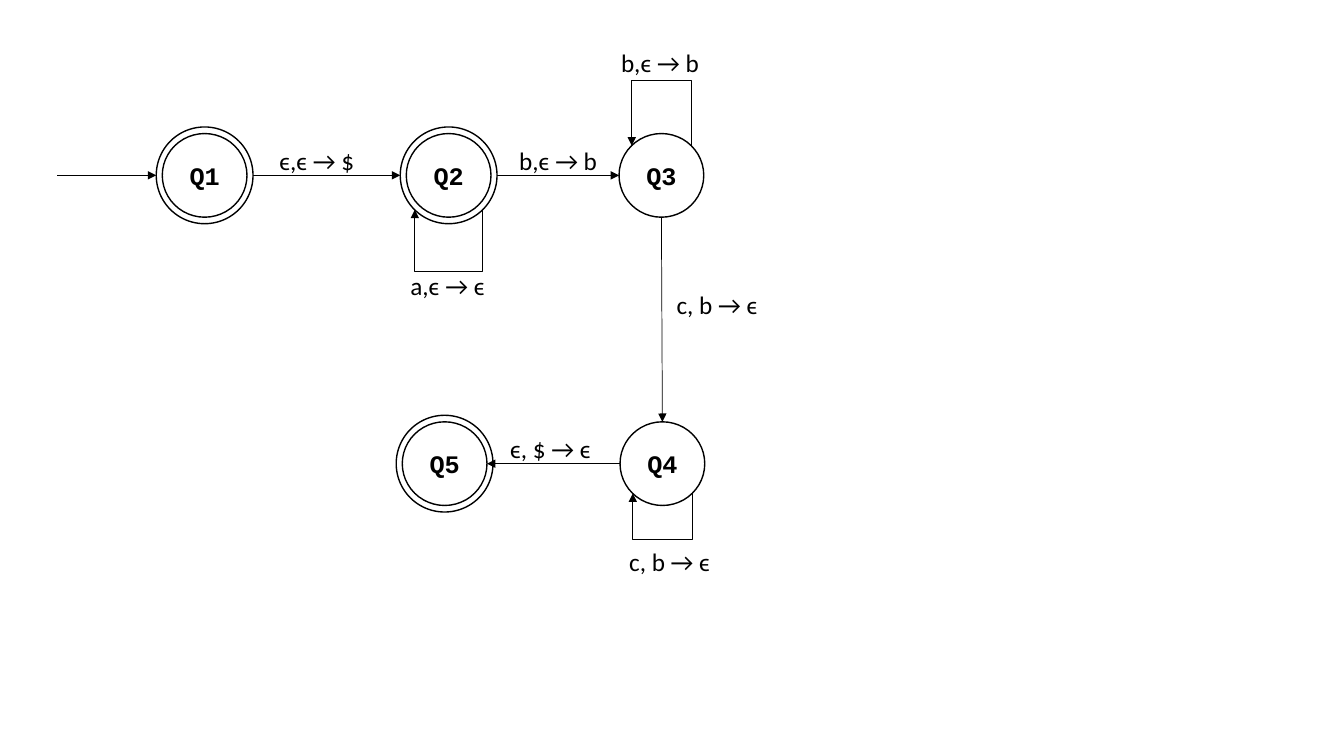
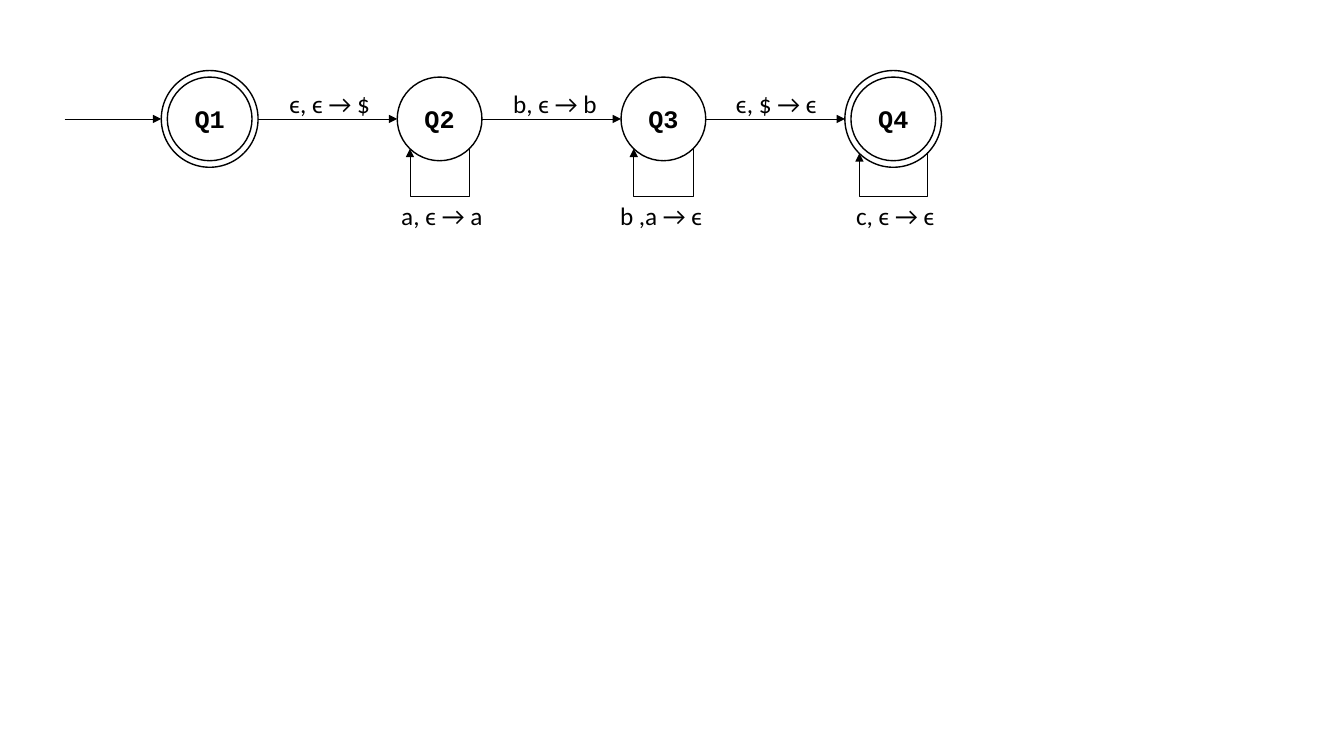
from dataclasses import dataclass

from lxml import etree
from pptx import Presentation
from pptx.dml.color import RGBColor
from pptx.enum.shapes import MSO_CONNECTOR, MSO_SHAPE
from pptx.enum.text import MSO_ANCHOR, MSO_AUTO_SIZE, PP_ALIGN
from pptx.oxml.ns import qn
from pptx.util import Inches, Pt

ELLIPSE = MSO_SHAPE.OVAL
STRAIGHT, ELBOW = MSO_CONNECTOR.STRAIGHT, MSO_CONNECTOR.ELBOW
MIDDLE, CENTER = MSO_ANCHOR.MIDDLE, PP_ALIGN.CENTER
GROW = MSO_AUTO_SIZE.SHAPE_TO_FIT_TEXT
BLANK_LAYOUT = 6


@dataclass(frozen=True)
class Theme:
    ink: RGBColor = RGBColor(0, 0, 0)
    paper: RGBColor = RGBColor(255, 255, 255)
    state_font: str = "Courier New"
    label_font: str = "Calibri"
    text_size: Pt = Pt(18)
    state_line: Pt = Pt(1)
    arrow_line: Pt = Pt(0.5)


THEME = Theme()
STATE_SIZE = (0.84, 0.83)
RING_SIZE = (0.96, 0.96)
LABEL_HEIGHT = 0.3
LOOP_STEP = 0.01

# Connection sites of an ellipse: index, then place as a share of width and height.
SITES = {
    "top": (0, 0.5, 0),
    "top left": (1, 0.15, 0.15),
    "left": (2, 0, 0.5),
    "bottom left": (3, 0.15, 0.85),
    "bottom": (4, 0.5, 1),
    "bottom right": (5, 0.85, 0.85),
    "right": (6, 1, 0.5),
    "top right": (7, 0.85, 0.15),
}


@dataclass
class State:
    """A drawn state; outline is the outermost ellipse, core the named one."""
    outline: object
    core: object


def site_point(ellipse, site):
    _, across, down = SITES[site]
    return (int(ellipse.left + ellipse.width * across),
            int(ellipse.top + ellipse.height * down))


def add_ellipse(slide, center, size):
    (x, y), (width, height) = center, size
    ellipse = slide.shapes.add_shape(
        ELLIPSE, Inches(x - width / 2), Inches(y - height / 2), Inches(width), Inches(height))
    ellipse.shadow.inherit = False
    ellipse.fill.solid()
    ellipse.fill.fore_color.rgb = THEME.paper
    ellipse.line.color.rgb = THEME.ink
    ellipse.line.width = THEME.state_line
    return ellipse


def write(shape, text, font_name, bold=False):
    frame = shape.text_frame
    frame.word_wrap = False
    frame.margin_left = frame.margin_right = frame.margin_top = frame.margin_bottom = 0
    para = frame.paragraphs[0]
    para.text = text
    para.font.name = font_name
    para.font.size = THEME.text_size
    para.font.bold = bold
    para.font.color.rgb = THEME.ink
    return frame, para


def add_state(slide, name, center, accepting=False):
    """Draw a state, with a second ring around it if it accepts."""
    ring = add_ellipse(slide, center, RING_SIZE) if accepting else None
    core = add_ellipse(slide, center, STATE_SIZE)
    frame, para = write(core, name, THEME.state_font, bold=True)
    frame.vertical_anchor = MIDDLE
    para.alignment = CENTER
    return State(ring or core, core)


def add_label(slide, text, left, top, width):
    box = slide.shapes.add_textbox(
        Inches(left), Inches(top), Inches(width), Inches(LABEL_HEIGHT))
    frame, _ = write(box, text, THEME.label_font)
    frame.auto_size = GROW


def style_arrow(connector):
    connector.line.color.rgb = THEME.ink
    connector.line.width = THEME.arrow_line
    line = connector.line._get_or_add_ln()
    etree.SubElement(line, qn("a:tailEnd"), type="triangle")
    etree.SubElement(connector._element.spPr, qn("a:effectLst"))


def glue(connector, end_tag, ellipse, site):
    """Join a connector end to one of the eight sites of an ellipse."""
    holder = connector._element.find(".//" + qn("p:cNvCxnSpPr"))
    etree.SubElement(holder, qn(end_tag), id=str(ellipse.shape_id), idx=str(SITES[site][0]))


def add_arrow(slide, source, source_site, target, target_site):
    connector = slide.shapes.add_connector(
        STRAIGHT, *site_point(source, source_site), *site_point(target, target_site))
    style_arrow(connector)
    glue(connector, "a:stCxn", source, source_site)
    glue(connector, "a:endCxn", target, target_site)


def add_start_arrow(slide, left, state):
    end_x, end_y = site_point(state.outline, "left")
    connector = slide.shapes.add_connector(STRAIGHT, Inches(left), end_y, end_x, end_y)
    style_arrow(connector)
    glue(connector, "a:endCxn", state.outline, "left")


def add_loop(slide, state, side, far_edge):
    """Lead an arrow from a state back to itself, out to far_edge on its top or bottom side."""
    ellipse = state.outline
    start, end = side + " right", side + " left"
    (right, y), (left, _) = site_point(ellipse, start), site_point(ellipse, end)
    # The connector is laid out upright, then turned by a quarter about its middle.
    middle, span, step = (left + right) // 2, right - left, Inches(LOOP_STEP)
    near, far = middle - step // 2, middle - step // 2 + step
    upper, lower = y - span // 2, y + span // 2
    begin_y, end_y, turn = (upper, lower, 90) if side == "bottom" else (lower, upper, 270)
    connector = slide.shapes.add_connector(ELBOW, near, begin_y, far, end_y)
    style_arrow(connector)
    properties = connector._element.spPr
    properties.find(qn("a:xfrm")).set("rot", str(turn * 60000))
    depth = abs(Inches(far_edge) - y)
    guides = properties.find(qn("a:prstGeom")).find(qn("a:avLst"))
    etree.SubElement(guides, qn("a:gd"), name="adj1", fmla=f"val {round(depth / step * 100000)}")
    glue(connector, "a:stCxn", ellipse, start)
    glue(connector, "a:endCxn", ellipse, end)


def add_blank_slide(deck):
    return deck.slides.add_slide(deck.slide_layouts[BLANK_LAYOUT])


def build_turning_automaton(deck):
    slide = add_blank_slide(deck)
    q1 = add_state(slide, "Q1", (2.03, 1.74), accepting=True)
    q2 = add_state(slide, "Q2", (4.45, 1.74), accepting=True)
    q3 = add_state(slide, "Q3", (6.56, 1.74))
    q4 = add_state(slide, "Q4", (6.57, 4.6))
    q5 = add_state(slide, "Q5", (4.41, 4.6), accepting=True)

    add_start_arrow(slide, 0.57, q1)
    add_arrow(slide, q1.outline, "right", q2.outline, "left")
    add_arrow(slide, q2.outline, "right", q3.outline, "left")
    add_arrow(slide, q3.outline, "bottom", q4.outline, "top")
    add_arrow(slide, q4.outline, "left", q5.core, "right")
    add_loop(slide, q2, "bottom", 2.71)
    add_loop(slide, q3, "top", 0.78)
    add_loop(slide, q4, "bottom", 5.36)

    for label in (
        ("ϵ,ϵ → $", 2.77, 1.44, 0.77),
        ("a,ϵ → ϵ", 4.07, 2.68, 0.82),
        ("b,ϵ → b", 5.15, 1.44, 0.8),
        ("b,ϵ → b", 6.16, 0.47, 0.86),
        ("c, b → ϵ", 6.71, 2.87, 0.95),
        ("c, b → ϵ", 6.24, 5.42, 0.95),
        ("ϵ, $ → ϵ", 5.06, 4.3, 0.94),
    ):
        add_label(slide, *label)


def build_row_automaton(deck):
    slide = add_blank_slide(deck)
    row = 1.18
    states = [
        add_state(slide, name, (x, row), accepting)
        for name, x, accepting in (
            ("Q1", 2.08, True), ("Q2", 4.36, False), ("Q3", 6.58, False), ("Q4", 8.86, True))
    ]
    add_start_arrow(slide, 0.64, states[0])
    for source, target in zip(states, states[1:]):
        add_arrow(slide, source.outline, "right", target.outline, "left")
    for state in states[1:]:
        add_loop(slide, state, "bottom", 1.96)

    step_labels = (("ϵ, ϵ → $", 2.87, 0.83), ("b, ϵ → b", 5.09, 0.86), ("ϵ, $ → ϵ", 7.3, 0.83))
    loop_labels = (("a, ϵ → a", 3.98, 0.83), ("b ,a → ϵ", 6.15, 0.87), ("c, ϵ → ϵ", 8.49, 0.81))
    for top, labels in ((0.88, step_labels), (1.99, loop_labels)):
        for text, left, width in labels:
            add_label(slide, text, left, top, width)


def main():
    deck = Presentation()
    deck.slide_width, deck.slide_height = Inches(13.33), Inches(7.5)
    build_turning_automaton(deck)
    build_row_automaton(deck)
    deck.save("out.pptx")


if __name__ == "__main__":
    main()
